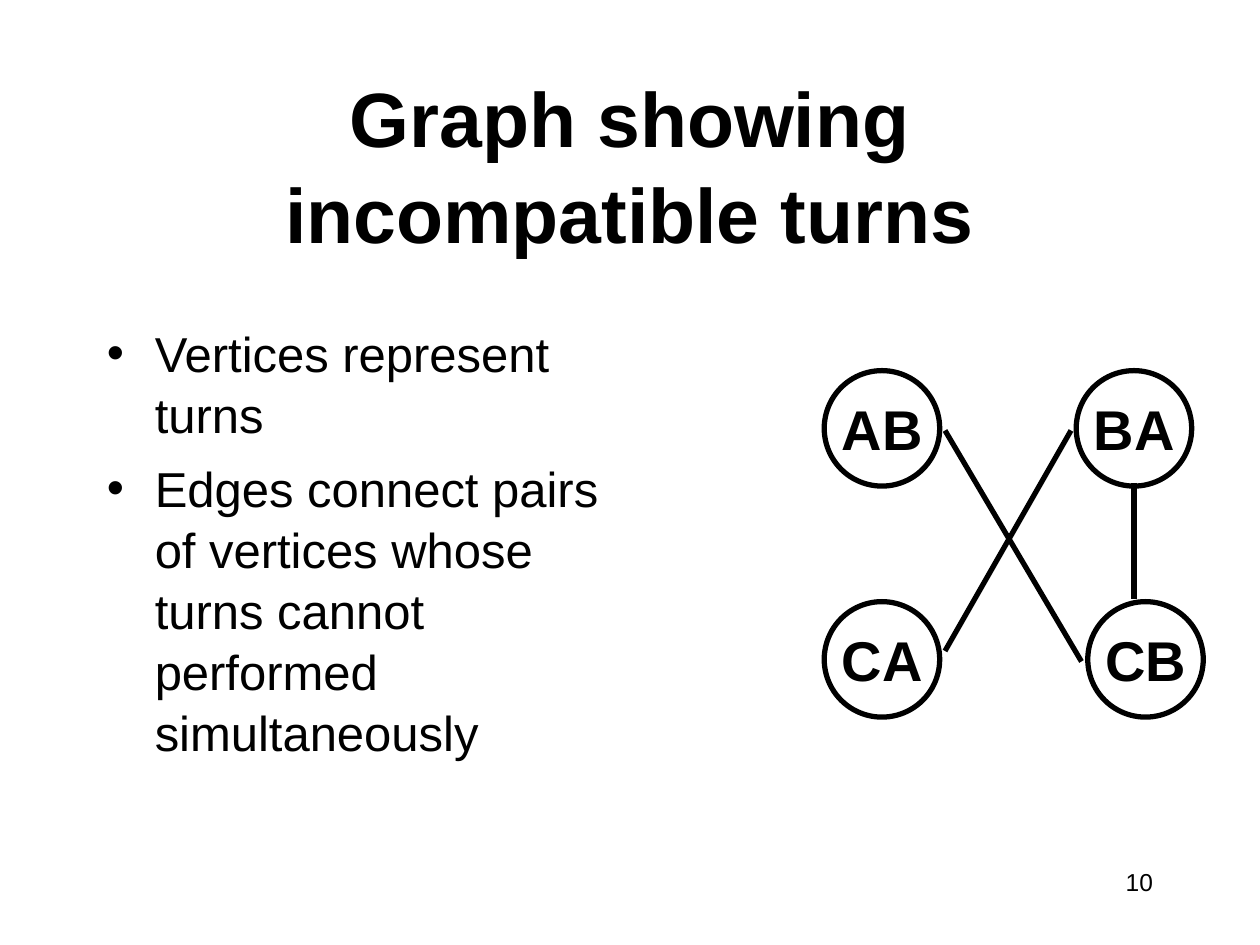
from dataclasses import dataclass

from lxml import etree
from pptx import Presentation
from pptx.dml.color import RGBColor
from pptx.enum.shapes import MSO_CONNECTOR, MSO_SHAPE
from pptx.enum.text import MSO_ANCHOR, MSO_AUTO_SIZE, PP_ALIGN
from pptx.oxml.ns import qn
from pptx.util import Inches, Pt

LEFT, CENTER, RIGHT = PP_ALIGN.LEFT, PP_ALIGN.CENTER, PP_ALIGN.RIGHT
TOP, MIDDLE = MSO_ANCHOR.TOP, MSO_ANCHOR.MIDDLE
FIXED = MSO_AUTO_SIZE.NONE
OVAL = MSO_SHAPE.OVAL
STRAIGHT = MSO_CONNECTOR.STRAIGHT

WIDE, HIGH = Inches(10), Inches(7.5)
COLS, ROWS = 120, 90


@dataclass(frozen=True)
class Theme:
    font: str = "Arial"
    ink: RGBColor = RGBColor(0, 0, 0)
    paper: RGBColor = RGBColor(255, 255, 255)
    title: int = 44
    body: int = 28
    label: int = 32
    number: int = 14
    line: int = 3
    gap: int = 7
    lead: float = 1.04


THEME = Theme()

NODES = {"AB": (6, 5.8), "BA": (30, 5.8), "CA": (6, 27.8), "CB": (31.1, 27.8)}
EDGES = [
    ((12, 6), (25, 28)),
    ((30, 11), (30, 22)),
    ((12, 27), (24, 6)),
]
POINTS = [
    "Vertices represent turns",
    "Edges connect pairs of vertices whose turns cannot performed simultaneously",
]


def grid(*cells):
    steps = (WIDE / COLS, HIGH / ROWS)
    return [round(cell * steps[i % 2]) for i, cell in enumerate(cells)]


def style(frame, size, align=LEFT, bold=False, anchor=TOP, wrap=True):
    frame.word_wrap = wrap
    frame.auto_size = FIXED
    frame.vertical_anchor = anchor
    for para in frame.paragraphs:
        para.alignment = align
        for run in para.runs:
            font = run.font
            font.name, font.size, font.bold = THEME.font, Pt(size), bold
            font.color.rgb = THEME.ink


def add_text(slide, box, text, size, **look):
    frame = slide.shapes.add_textbox(*grid(*box)).text_frame
    frame.text = text
    style(frame, size, **look)
    return frame


def add_title(slide, box, text):
    title = slide.shapes.title
    title.left, title.top, title.width, title.height = grid(*box)
    frame = title.text_frame
    frame.text = text
    style(frame, THEME.title, align=CENTER, bold=True, anchor=MIDDLE)
    frame.paragraphs[0].line_spacing = THEME.lead


def add_points(slide, box, points):
    frame = add_text(slide, box, "\n".join(points), THEME.body)
    for para in frame.paragraphs:
        para.space_before = Pt(THEME.gap)
        para.line_spacing = THEME.lead
        props = para._p.get_or_add_pPr()
        props.set("marL", str(Inches(0.38)))
        props.set("indent", str(-Inches(0.38)))
        etree.SubElement(props, qn("a:buFont")).set("typeface", THEME.font)
        etree.SubElement(props, qn("a:buChar")).set("char", "•")


def add_node(slide, x, y, name):
    size = 11
    node = slide.shapes.add_shape(OVAL, *grid(x - size / 2, y - size / 2, size, size))
    node.shadow.inherit = False
    node.fill.solid()
    node.fill.fore_color.rgb = THEME.paper
    node.line.color.rgb = THEME.ink
    node.line.width = Pt(THEME.line)
    box = (x - 5, y - 3.8, 10.4, 7.6)
    add_text(slide, box, name, THEME.label, bold=True, wrap=False)


def add_edge(slide, start, end):
    edge = slide.shapes.add_connector(STRAIGHT, *grid(*start, *end))
    edge.line.color.rgb = THEME.ink
    edge.line.width = Pt(THEME.line)
    etree.SubElement(edge._element.spPr, qn("a:effectLst"))


def add_graph(slide, box, nodes, edges):
    left, top = box[:2]
    for name, (x, y) in nodes.items():
        add_node(slide, left + x, top + y, name)
    for ends in edges:
        add_edge(slide, *((left + x, top + y) for x, y in ends))


def main():
    deck = Presentation()
    deck.slide_width, deck.slide_height = WIDE, HIGH
    slide = deck.slides.add_slide(deck.slide_layouts[5])
    add_title(slide, (9, 8, 102, 15), "Graph showing incompatible turns")
    add_points(slide, (9, 30, 50, 44), POINTS)
    add_graph(slide, (78, 35, 37, 34), NODES, EDGES)
    add_text(slide, (86, 82, 25, 6), "10", THEME.number, align=RIGHT)
    deck.save("out.pptx")


if __name__ == "__main__":
    main()
